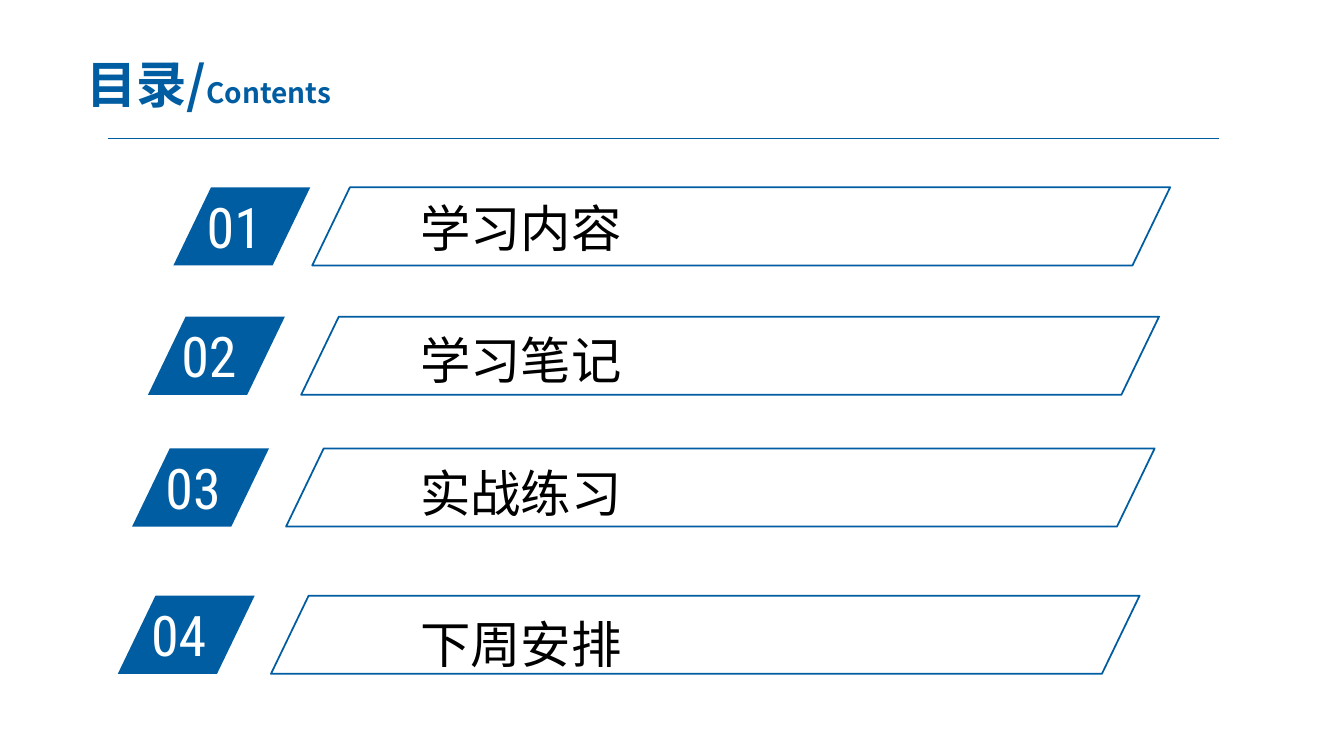
from lxml import etree
from pptx import Presentation
from pptx.dml.color import RGBColor
from pptx.enum.shapes import MSO_CONNECTOR, MSO_SHAPE
from pptx.enum.text import MSO_ANCHOR, MSO_AUTO_SIZE, PP_ALIGN
from pptx.oxml.ns import qn
from pptx.util import Cm, Pt

# Content: number, topic, then badge left, frame left, frame width, row top, topic top (cm)
TITLE = [("目录/", 36), ("Contents", 20)]
ROWS = [
    ("01", "学习内容", 4.37, 7.87, 21.62, 4.72, 4.85),
    ("02", "学习笔记", 3.73, 7.59, 21.62, 7.98, 8.18),
    ("03", "实战练习", 3.33, 7.21, 21.89, 11.3, 11.53),
    ("04", "下周安排", 2.97, 6.83, 21.89, 15.01, 15.32),
]

BLUE = RGBColor(0x00, 0x5D, 0xA2)
RULE_BLUE = RGBColor(0x00, 0x5B, 0x9E)
WHITE = RGBColor(0xFF, 0xFF, 0xFF)
BLACK = RGBColor(0x00, 0x00, 0x00)
CJK_FONT = "Noto Sans CJK SC"
NUMBER_FONT = "Roboto Condensed"

BADGE_W, ROW_H = 3.45, 1.97
NUMBER_INDENT, NUMBER_W = 0.59, 3.28
TOPIC_LEFT, TOPIC_W, TOPIC_H = 10.34, 11.28, 1.8
SLANT = 0.482


def add_run(p, text, size, font, color, bold=False):
    r = p.add_run()
    r.text = text
    r.font.size = Pt(size)
    r.font.name = font
    r.font.bold = bold
    r.font.color.rgb = color
    # East Asian characters take their own typeface
    ea = etree.SubElement(r.font._element, qn("a:ea"))
    ea.set("typeface", font)


def add_label(shapes, text, left, top, width, height, size, font, color):
    tf = shapes.add_textbox(Cm(left), Cm(top), Cm(width), Cm(height)).text_frame
    tf.word_wrap = True
    tf.auto_size = MSO_AUTO_SIZE.SHAPE_TO_FIT_TEXT
    add_run(tf.paragraphs[0], text, size, font, color)


def add_parallelogram(shapes, left, top, width):
    sp = shapes.add_shape(MSO_SHAPE.PARALLELOGRAM,
                          Cm(left), Cm(top), Cm(width), Cm(ROW_H))
    sp.adjustments[0] = SLANT
    sp.shadow.inherit = False
    return sp


prs = Presentation()
prs.slide_width, prs.slide_height = Cm(33.87), Cm(19.05)
slide = prs.slides.add_slide(prs.slide_layouts[5])

# Title
title = slide.shapes.title
title.left, title.top, title.width, title.height = Cm(1.02), Cm(1.42), Cm(8.48), Cm(1.37)
tf = title.text_frame
tf.word_wrap = True
tf.auto_size = MSO_AUTO_SIZE.NONE
tf.vertical_anchor = MSO_ANCHOR.MIDDLE
p = tf.paragraphs[0]
p.alignment = PP_ALIGN.CENTER
for text, size in TITLE:
    add_run(p, text, size, CJK_FONT, BLUE, bold=True)

# Rule under the title
rule = slide.shapes.add_connector(MSO_CONNECTOR.STRAIGHT,
                                  Cm(2.72), Cm(3.49), Cm(30.73), Cm(3.49))
rule.line.color.rgb = RULE_BLUE
rule.line.width = Pt(0.75)
etree.SubElement(rule._element.spPr, qn("a:effectLst"))

# Numbered rows: badge, number and frame grouped, with the topic on top
for number, topic, badge_left, frame_left, frame_w, top, topic_top in ROWS:
    group = slide.shapes.add_group_shape()

    badge = add_parallelogram(group.shapes, badge_left, top, BADGE_W)
    badge.fill.solid()
    badge.fill.fore_color.rgb = BLUE
    badge.line.fill.background()

    add_label(group.shapes, number, badge_left + NUMBER_INDENT, top,
              NUMBER_W, ROW_H, 40, NUMBER_FONT, WHITE)

    frame = add_parallelogram(group.shapes, frame_left, top, frame_w)
    frame.fill.background()
    frame.line.color.rgb = BLUE
    frame.line.width = Pt(1.25)

    add_label(slide.shapes, topic, TOPIC_LEFT, topic_top,
              TOPIC_W, TOPIC_H, 36, CJK_FONT, BLACK)

prs.save("out.pptx")
